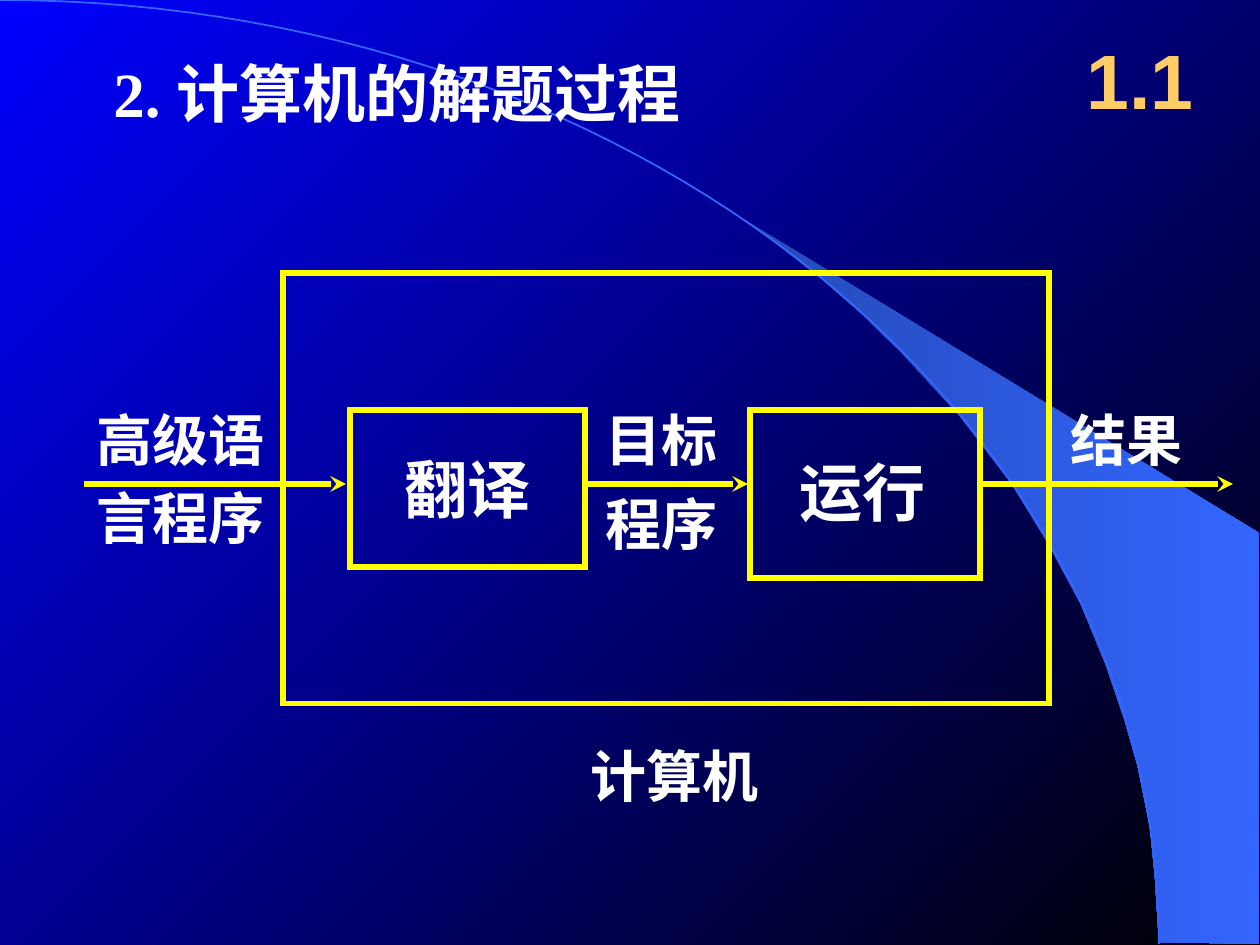
from lxml import etree
from pptx import Presentation
from pptx.dml.color import RGBColor
from pptx.enum.shapes import MSO_CONNECTOR, MSO_SHAPE
from pptx.enum.text import MSO_ANCHOR, PP_ALIGN
from pptx.oxml.ns import qn
from pptx.util import Pt

PX = 914400 // 126
LEFT, CENTER = PP_ALIGN.LEFT, PP_ALIGN.CENTER
MIDDLE = MSO_ANCHOR.MIDDLE
RECT, LINE = MSO_SHAPE.RECTANGLE, MSO_CONNECTOR.STRAIGHT
CJK, SERIF, SANS = "Noto Sans CJK SC", "Times New Roman", "Arial"
HEX = {"blue": "0000FF", "black": "000000", "fin": "2449B6", "arc": "3366FF",
       "yellow": "FFFF00", "white": "FFFFFF", "gold": "FFCC66"}
RGB = {name: RGBColor.from_string(code) for name, code in HEX.items()}

deck = Presentation()
deck.slide_width, deck.slide_height = 1260 * PX, 945 * PX
slide = deck.slides.add_slide(deck.slide_layouts[6])
shapes = slide.shapes


def shade(fill, angle, *names):
    """Fill with a linear gradient through two named colours."""
    fill.gradient()
    fill.gradient_angle = angle
    for stop, name in zip(fill.gradient_stops, names):
        stop.color.rgb = RGB[name]


def stroke(line, name, width):
    """Give a line its colour and its width in points."""
    line.color.rgb = RGB[name]
    line.width = Pt(width)


# Background with the fin and the arc
shade(slide.background.fill, 315, "blue", "black")

fin_pts = [(1159, 942), (1259, 944), (1259, 533), (742, 218), (786, 251),
           (823, 280), (863, 315), (902, 353), (960, 416), (1012, 484),
           (1048, 543), (1081, 604), (1106, 665), (1125, 721), (1138, 767),
           (1150, 827), (1155, 877)]
pen = shapes.build_freeform(*fin_pts[0], scale=PX)
pen.add_line_segments(fin_pts[1:], close=True)
fin = pen.convert_to_shape()
fin.shadow.inherit = False
shade(fin.fill, 0, "fin", "arc")
fin.line.fill.background()

curve = [(0, 0), (640, 0), (1159, 422), (1159, 944)]
steps = 60
arc_pts = []
for i in range(1, steps + 1):
    t = i / steps
    mix = ((1 - t) ** 3, 3 * t * (1 - t) ** 2, 3 * t * t * (1 - t), t ** 3)
    arc_pts.append([round(PX * sum(m * p[k] for m, p in zip(mix, curve)))
                    for k in (0, 1)])
pen = shapes.build_freeform(0, 0)
pen.add_line_segments(arc_pts, close=False)
arc = pen.convert_to_shape()
arc.shadow.inherit = False
arc.fill.background()
stroke(arc.line, "arc", 1)

# Computer frame and the two steps inside it
for frame in [(283, 273, 766, 431), (350, 410, 235, 157), (750, 410, 230, 168)]:
    box = shapes.add_shape(RECT, *[n * PX for n in frame])
    box.shadow.inherit = False
    box.fill.background()
    stroke(box.line, "yellow", 3)
    edge = box.element.spPr.find(qn("a:ln"))
    etree.SubElement(edge, qn("a:miter"), lim="800000")

# Flow arrows
for start, end in [(84, 346), (588, 748), (980, 1233)]:
    arrow = shapes.add_connector(LINE, start * PX, 484 * PX, end * PX, 484 * PX)
    stroke(arrow.line, "yellow", 3)
    props = arrow.element.spPr
    etree.SubElement(props.find(qn("a:ln")), qn("a:tailEnd"), type="stealth")
    etree.SubElement(props, qn("a:effectLst"))

# Text: words, frame, size, font, colour, alignment, inset, wrap
texts = [
    ("计算机", (578, 736, 194, 79), 32, CJK, "white", CENTER, 1, False),
    ("高级语", (97, 406, 172, 67), 32, CJK, "white", LEFT, 0, True),
    ("言程序", (84, 478, 194, 79), 32, SERIF, "white", LEFT, 1, False),
    ("目标", (606, 406, 120, 67), 32, CJK, "white", LEFT, 0, True),
    ("程序", (606, 490, 120, 67), 32, CJK, "white", LEFT, 0, True),
    ("结果", (1071, 406, 126, 67), 32, CJK, "white", LEFT, 0, True),
    ("翻译", (392, 444, 151, 88), 36, CJK, "white", LEFT, 1, False),
    ("运行", (787, 447, 151, 88), 36, CJK, "white", LEFT, 1, False),
    ("1.1", (1061, 21, 158, 116), 44, SANS, "gold", CENTER, 1, True),
    ("2. 计算机的解题过程", (101, 48, 803, 88), 36, SERIF, "white", LEFT, 1, True),
]
for words, frame, size, face, tint, align, inset, wrap in texts:
    body = shapes.add_textbox(*[n * PX for n in frame]).text_frame
    side, edge = inset * Pt(7.2), inset * Pt(3.6)
    style = {"margin_left": side, "margin_right": side, "margin_top": edge,
             "margin_bottom": edge, "word_wrap": wrap, "vertical_anchor": MIDDLE}
    for key, value in style.items():
        setattr(body, key, value)
    para = body.paragraphs[0]
    para.alignment = align
    run = para.add_run()
    run.text = words
    for key, value in {"size": Pt(size), "name": face, "bold": True}.items():
        setattr(run.font, key, value)
    run.font.color.rgb = RGB[tint]
    etree.SubElement(run.font._element, qn("a:ea"), typeface=CJK)

deck.save("out.pptx")
